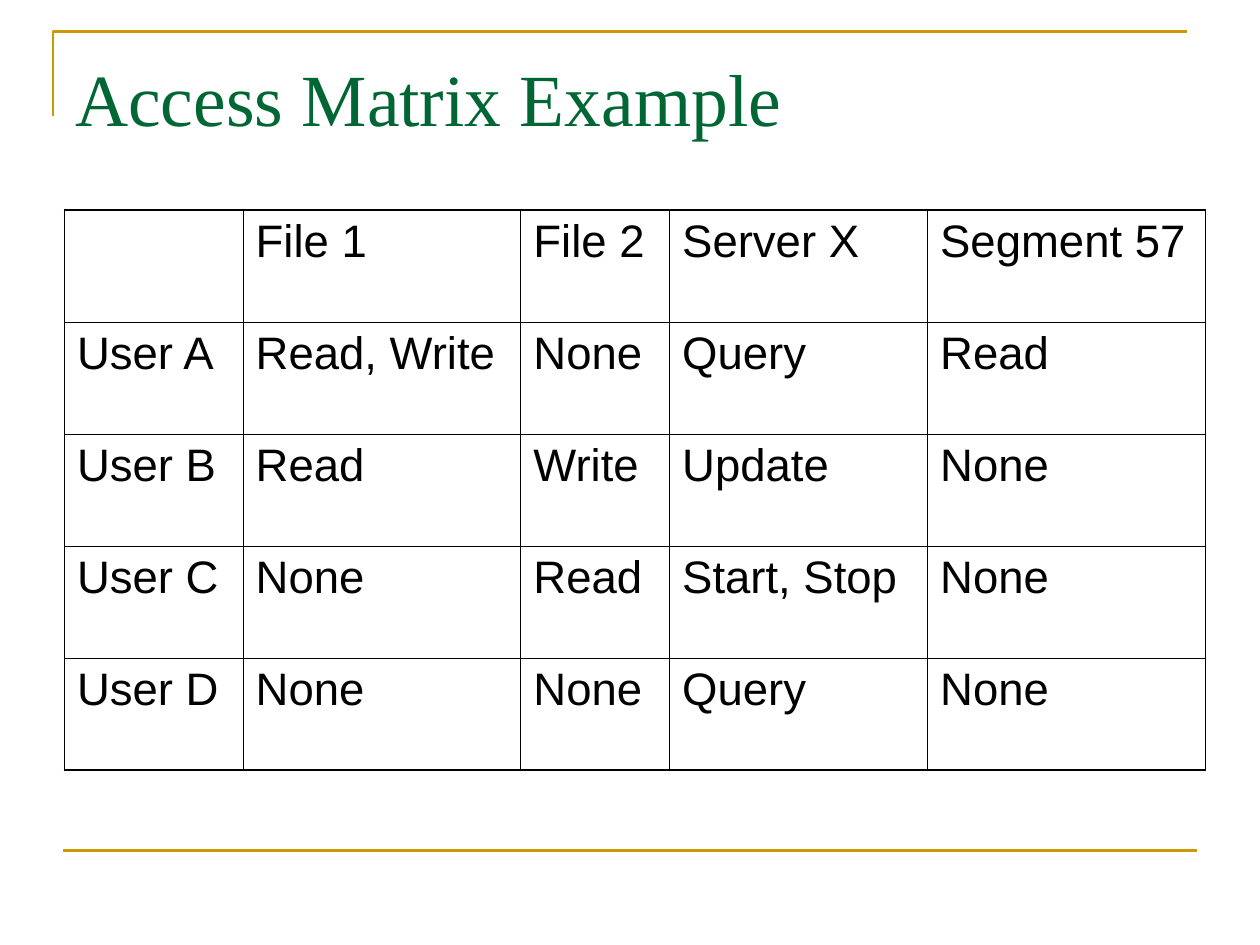
from dataclasses import dataclass

from lxml.etree import SubElement
from pptx import Presentation
from pptx.dml.color import RGBColor as Rgb
from pptx.enum.shapes import MSO_CONNECTOR as ConnectorKind
from pptx.enum.text import MSO_ANCHOR as Anchor
from pptx.oxml.ns import qn
from pptx.slide import Slide
from pptx.table import _Cell as Cell
from pptx.text.text import TextFrame
from pptx.util import Cm, Pt


@dataclass(frozen=True)
class TextStyle:
    font: str
    size: float
    color: str


@dataclass(frozen=True)
class Theme:
    title: TextStyle = TextStyle("Times New Roman", 42, "006633")
    body: TextStyle = TextStyle("Arial", 26, "000000")
    rule: str = "CC9900"
    rule_width: float = 1.5
    border: str = "000000"
    outer_border: float = 1.08
    inner_border: float = 0.45


@dataclass(frozen=True)
class AccessRow:
    subject: str
    rights: tuple[str, ...]


THEME = Theme()
COLUMN_WIDTHS = (3.6, 5.6, 3.0, 5.2, 5.6)
ROW_HEIGHT = 2.26
ACCESS_ROWS = (
    AccessRow("", ("File 1", "File 2", "Server X", "Segment 57")),
    AccessRow("User A", ("Read, Write", "None", "Query", "Read")),
    AccessRow("User B", ("Read", "Write", "Update", "None")),
    AccessRow("User C", ("None", "Read", "Start, Stop", "None")),
    AccessRow("User D", ("None", "None", "Query", "None")),
)


def add_span(frame: TextFrame, text: str, style: TextStyle) -> None:
    span = frame.paragraphs[0].add_run()
    span.text = text
    span.font.name = style.font
    span.font.size = Pt(style.size)
    span.font.color.rgb = Rgb.from_string(style.color)


def draw_rules(page: Slide) -> None:
    """Draw the corner around the title and the line at the foot."""
    left, top = Cm(1.07), Cm(0.64)
    builder = page.shapes.build_freeform(left, Cm(2.34))
    builder.add_line_segments([(left, top), (Cm(23.93), top)], close=False)
    corner = builder.convert_to_shape()
    corner.fill.background()
    corner.shadow.inherit = False

    foot_y = Cm(17.15)
    foot = page.shapes.add_connector(
        ConnectorKind.STRAIGHT, Cm(1.27), foot_y, Cm(24.13), foot_y)
    SubElement(foot.line._get_or_add_ln().getparent(), qn("a:effectLst"))

    for rule in (corner, foot):
        rule.line.color.rgb = Rgb.from_string(THEME.rule)
        rule.line.width = Pt(THEME.rule_width)


def draw_title(page: Slide, text: str) -> None:
    box = page.shapes.add_textbox(Cm(1.27), Cm(0.76), Cm(22.86), Cm(3.18))
    frame = box.text_frame
    frame.word_wrap = True
    frame.vertical_anchor = Anchor.TOP
    frame.margin_top = Cm(0.31)
    add_span(frame, text, THEME.title)


def set_borders(cell: Cell, outer_sides: dict[str, bool]) -> None:
    """Give each side the outer or the inner border width."""
    properties = cell._tc.get_or_add_tcPr()
    for side, is_outer in outer_sides.items():
        width = THEME.outer_border if is_outer else THEME.inner_border
        line = SubElement(properties, qn(f"a:ln{side}"), w=str(Pt(width)))
        fill = SubElement(line, qn("a:solidFill"))
        SubElement(fill, qn("a:srgbClr"), val=THEME.border)


def draw_matrix(page: Slide, rows: tuple[AccessRow, ...]) -> None:
    row_count, column_count = len(rows), len(COLUMN_WIDTHS)
    table = page.shapes.add_table(
        row_count, column_count, Cm(1.3), Cm(4.23),
        Cm(sum(COLUMN_WIDTHS)), Cm(ROW_HEIGHT * row_count)).table
    table.first_row = table.horz_banding = False
    for column, width in zip(table.columns, COLUMN_WIDTHS):
        column.width = Cm(width)
    for row_index, row in enumerate(rows):
        table.rows[row_index].height = Cm(ROW_HEIGHT)
        for column_index, text in enumerate((row.subject, *row.rights)):
            cell = table.cell(row_index, column_index)
            set_borders(cell, {
                "L": column_index == 0,
                "R": column_index == column_count - 1,
                "T": row_index == 0,
                "B": row_index == row_count - 1,
            })
            cell.fill.background()
            if text:
                add_span(cell.text_frame, text, THEME.body)


def main() -> None:
    deck = Presentation()
    deck.slide_width, deck.slide_height = Cm(25.4), Cm(19.05)
    page = deck.slides.add_slide(deck.slide_layouts[6])
    draw_rules(page)
    draw_title(page, "Access Matrix Example")
    draw_matrix(page, ACCESS_ROWS)
    deck.save("out.pptx")


if __name__ == "__main__":
    main()
